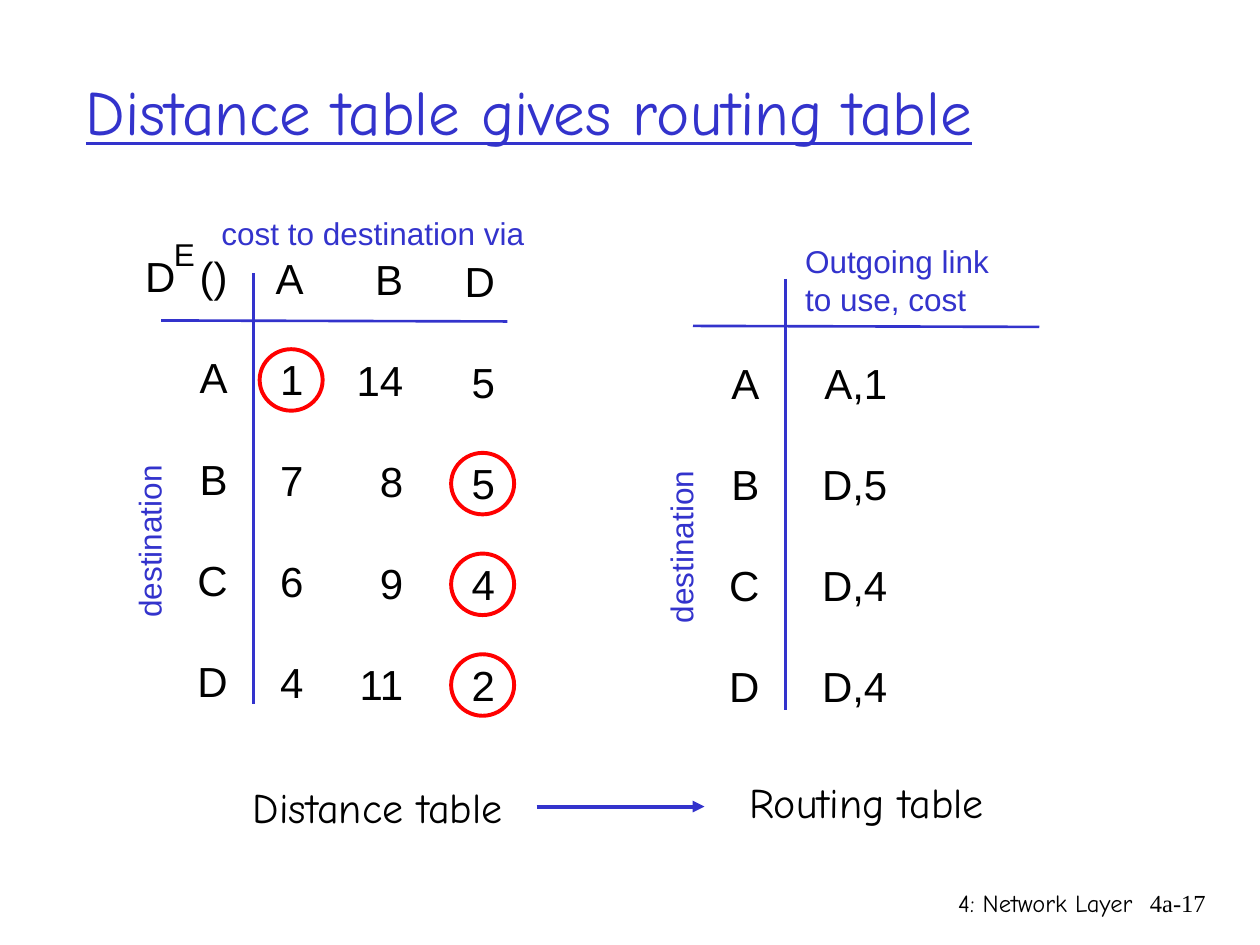
from collections import namedtuple

from lxml import etree
from pptx import Presentation
from pptx import util as u
from pptx.dml import color
from pptx.enum import shapes, text
from pptx.oxml import ns

COLORS = {"blue": "3333CC", "black": "000000", "red": "FF0000"}
FORMATS = {
    "title": {"name": "Comic Neue", "size": u.Pt(36), "underline": True},
    "caption": {"name": "Comic Neue", "size": u.Pt(24)},
    "footer": {"name": "Comic Neue", "size": u.Pt(14)},
    "number": {"name": "Times New Roman", "size": u.Pt(14)},
    "cell": {"name": "Arial", "size": u.Pt(24)},
    "label": {"name": "Arial", "size": u.Pt(18)},
}
Box = namedtuple("Box", "left top width height")
ROW_PITCH = 2.03
ROW_GAP = u.Pt(29)
NODES = ["A", "B", "C", "D"]
LEFT, RIGHT = text.PP_ALIGN.LEFT, text.PP_ALIGN.RIGHT


def rgb(name):
    return color.RGBColor.from_string(COLORS[name])


def inside(box, left, top, width, height):
    return Box(box.left + left, box.top + top, width, height)


def add_text(slide, box, lines, style, color_name="black", align=LEFT, gap=0, wrap=False):
    shape = slide.shapes.add_textbox(*[u.Cm(value) for value in box])
    frame = shape.text_frame
    frame.word_wrap = wrap
    for index, line in enumerate(lines):
        paragraph = frame.add_paragraph() if index else frame.paragraphs[0]
        paragraph.alignment = align
        if index:
            paragraph.space_before = gap
        run = paragraph.add_run()
        run.text = line
        for name, value in FORMATS[style].items():
            setattr(run.font, name, value)
        run.font.color.rgb = rgb(color_name)
    return shape


def add_line(slide, start, end, width=1.5, arrow=False):
    points = [u.Cm(value) for value in (*start, *end)]
    line = slide.shapes.add_connector(shapes.MSO_CONNECTOR.STRAIGHT, *points)
    line.line.color.rgb = rgb("blue")
    line.line.width = u.Pt(width)
    if arrow:
        outline = line.line._get_or_add_ln()
        etree.SubElement(outline, ns.qn("a:tailEnd"), type="triangle")
    etree.SubElement(line._element.spPr, ns.qn("a:effectLst"))


def add_column(slide, box, right, top, width, entries):
    height = 1.23 + ROW_PITCH * (len(entries) - 1)
    column = inside(box, right - width, top, width, height)
    add_text(slide, column, entries, "cell", align=RIGHT, gap=ROW_GAP)


def add_ring(slide, center_x, center_y):
    width, height = 1.27, 1.24
    ring = slide.shapes.add_shape(
        shapes.MSO_SHAPE.OVAL, u.Cm(center_x - width / 2), u.Cm(center_y - height / 2),
        u.Cm(width), u.Cm(height))
    ring.shadow.inherit = False
    ring.fill.background()
    ring.line.color.rgb = rgb("red")
    ring.line.width = u.Pt(2.25)


def add_axes(slide, box):
    left, top = box.left, box.top
    add_line(slide, (left, top + 2.29), (left + box.width, top + 2.31))
    add_line(slide, (left + 1.86, top + 1.34), (left + 1.86, top + box.height))
    add_column(slide, box, 1.59, 2.8, 1.12, NODES)
    label = add_text(slide, inside(box, -2.03, 6.24, 3.58, 1.02),
                     ["destination"], "label", "blue", RIGHT)
    label.rotation = 270


def add_distance_table(slide, box):
    add_axes(slide, box)
    add_column(slide, box, 0.54, 0.76, 1.12, ["D"])
    add_column(slide, box, 1.59, 0.76, 1.4, ["()"])
    add_text(slide, inside(box, -0.07, 0.45, 1, 1.02), ["E"], "label", align=RIGHT)
    add_text(slide, inside(box, 0.37, 0.02, 7.2, 1.02),
             ["cost to destination via"], "label", "blue", RIGHT)
    columns = [
        (3.12, 1.07, ["A", "1", "7", "6", "4"], [0]),
        (5.13, 1.45, ["B", "14", "8", "9", "11"], []),
        (6.98, 1.12, ["D", "5", "5", "4", "2"], [1, 2, 3]),
    ]
    for index, (right, width, entries, ringed_rows) in enumerate(columns):
        top = 0.79 + 0.03 * index
        add_column(slide, box, right, top, width, entries)
        for row in ringed_rows:
            add_ring(slide, box.left + right - 0.5,
                     box.top + top + 2.7 + ROW_PITCH * row)


def add_routing_table(slide, box):
    add_axes(slide, box)
    add_column(slide, box, 4.17, 2.8, 1.95, ["A,1", "D,5", "D,4", "D,4"])
    add_text(slide, inside(box, 2.01, 0.47, 4.39, 1.78),
             ["Outgoing link", "to use, cost"], "label", "blue")


def add_captions(slide, box):
    add_text(slide, inside(box, 0, 0.1, 5.59, 1.27), ["Distance table"], "caption")
    add_text(slide, inside(box, 10.01, 0, 5.26, 1.27), ["Routing table"], "caption")
    arrow_top = box.top + 0.74
    add_line(slide, (box.left + 5.97, arrow_top), (box.left + 9.35, arrow_top), 2.25, True)


def add_title(slide, box):
    title = add_text(slide, box, ["Distance table gives routing table"],
                     "title", "blue", wrap=True)
    title.text_frame.vertical_anchor = text.MSO_ANCHOR.MIDDLE


def add_footer(slide, box):
    add_text(slide, inside(box, 0, 0, 8.05, box.height),
             ["4: Network Layer"], "footer", align=RIGHT, wrap=True)
    add_text(slide, inside(box, 7.65, 0, 1.88, box.height),
             ["4a-17"], "number", align=RIGHT)


def main():
    presentation = Presentation()
    presentation.slide_width = u.Cm(25.4)
    presentation.slide_height = u.Cm(19.05)
    slide = presentation.slides.add_slide(presentation.slide_layouts[6])
    add_title(slide, Box(1.48, 0.64, 21.59, 3.18))
    add_distance_table(slide, Box(3.25, 4.17, 6.98, 10.03))
    add_routing_table(slide, Box(13.97, 4.28, 6.98, 10.03))
    add_captions(slide, Box(4.85, 15.52, 15.27, 1.37))
    add_footer(slide, Box(15.03, 17.78, 9.53, 1.27))
    presentation.save("out.pptx")


if __name__ == "__main__":
    main()
